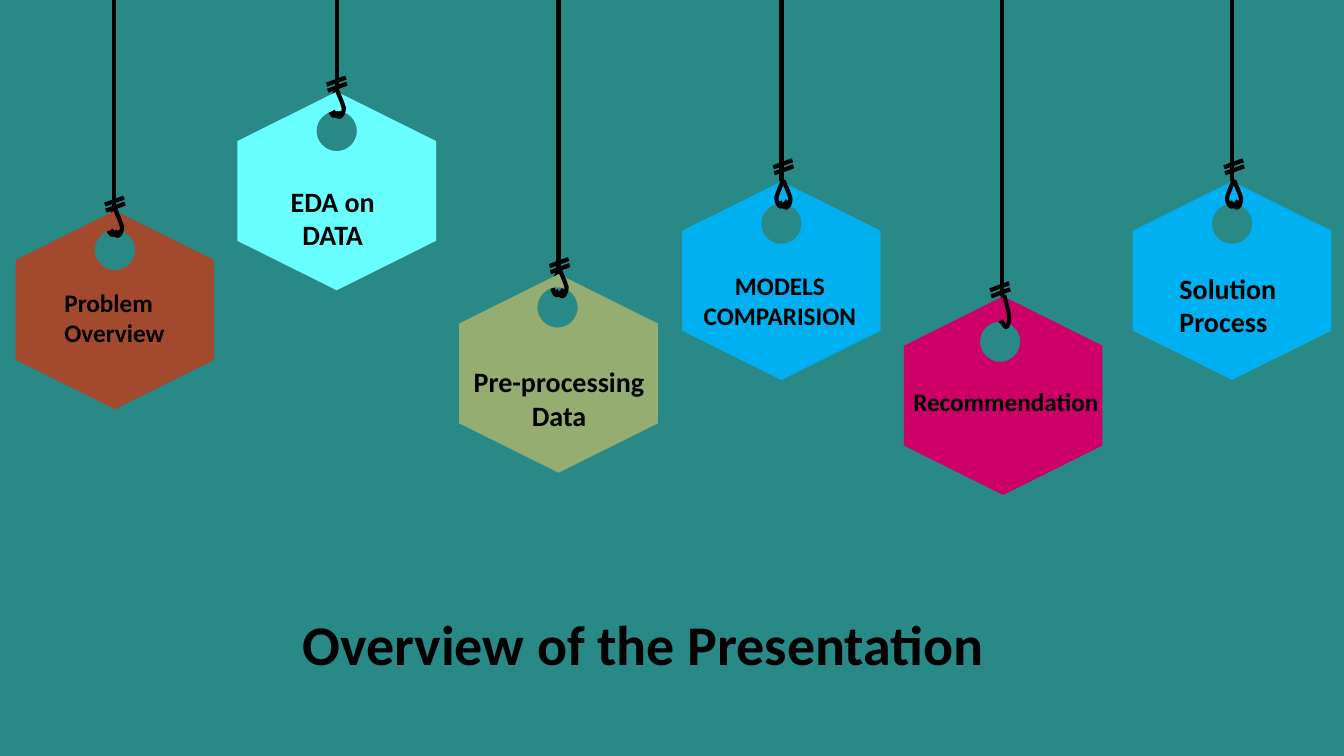
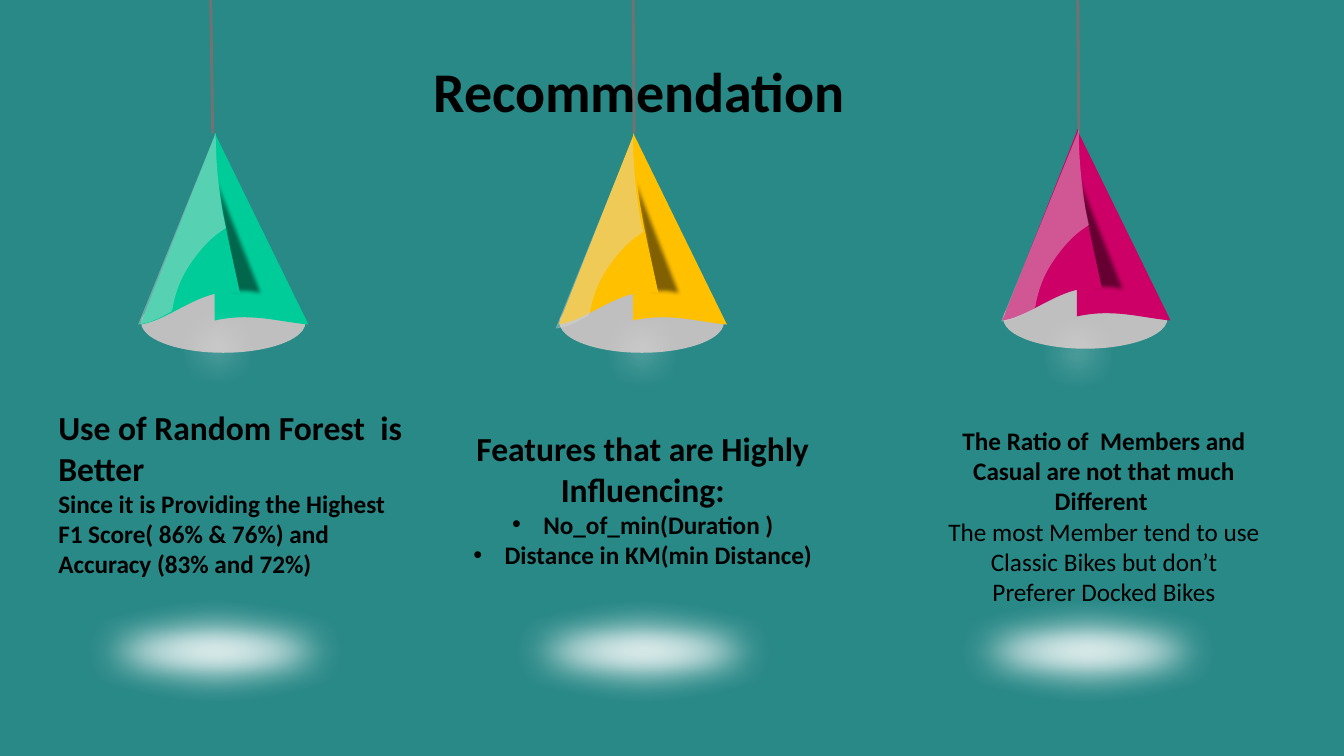
from dataclasses import dataclass

import lxml.etree
import pptx
import pptx.dml.color
import pptx.enum.shapes
import pptx.enum.text
import pptx.oxml.ns
import pptx.util

Color = pptx.dml.color.RGBColor
TEAL = Color(0x29, 0x89, 0x87)
BLACK = Color(0, 0, 0)
WHITE = Color(255, 255, 255)
CORD_GREY = Color(0x76, 0x71, 0x71)
RIM_GREY = Color(0xBF, 0xBF, 0xBF)
SHINE_GREY = Color(0xD9, 0xD9, 0xD9)
SKY = Color(0, 0xB0, 0xF0)
OLIVE = Color(0x95, 0xAD, 0x70)
MAGENTA = Color(0xCC, 0, 0x66)
AQUA = Color(0x6A, 0xFF, 0xFF)
RUST = Color(0xA3, 0x4A, 0x2E)
GREEN = Color(0, 0xCC, 0x99)
AMBER = Color(0xFF, 0xC0, 0)

FONT = "Calibri"
TITLE_SIZE = 40
LEFT = pptx.enum.text.PP_ALIGN.LEFT
CENTER = pptx.enum.text.PP_ALIGN.CENTER


@dataclass
class Tag:
    label: str
    size: int
    align: int
    box: tuple
    color: Color
    top: tuple
    hole: tuple
    rope: tuple
    loop: tuple
    knot: tuple
    loop_in_front: bool = False
    stretch: tuple = (1, 1)


@dataclass
class Lamp:
    color: Color
    top: tuple
    cord: tuple
    shine: tuple
    glow: tuple


TAGS = [
    Tag("MODELS COMPARISION", 18, CENTER, (6.88, 2.63, 1.71, 0.71), SKY,
        (7.75, 1.8), (7.75, 2.22), (7.75, 1.8), (7.77, 1.78), (7.68, 1.72), True),
    Tag("Pre-processing Data", 20, CENTER, (4.56, 3.57, 1.97, 0.77), OLIVE,
        (5.54, 2.72), (5.53, 3.05), (5.54, 2.66), (5.55, 2.66), (5.46, 2.7)),
    Tag("Recommendation", 18, LEFT, (8.96, 3.78, 2.04, 0.4), MAGENTA,
        (9.95, 2.94), (9.92, 3.39), (9.94, 2.94), (9.96, 2.92), (9.83, 2.94),
        stretch=(0.72, 1.17)),
    Tag("EDA on DATA", 20, CENTER, (2.48, 1.78, 1.64, 0.77), AQUA,
        (3.34, 0.91), (3.34, 1.3), (3.34, 0.89), (3.34, 0.88), (3.25, 0.9)),
    Tag("Problem Overview", 18, LEFT, (0.54, 2.8, 1.25, 0.71), RUST,
        (1.14, 2.09), (1.14, 2.48), (1.13, 2.07), (1.14, 2.06), (1.05, 2.09)),
    Tag("Solution Process", 20, LEFT, (11.6, 2.64, 1.47, 0.77), SKY,
        (12.22, 1.8), (12.22, 2.22), (12.22, 1.8), (12.24, 1.78), (12.15, 1.72), True),
]
LAMPS = [
    Lamp(MAGENTA, (10.68, 1.28), (10.7, 10.69), (10.7, 1.29), (10.14, 2.91)),
    Lamp(AMBER, (6.28, 1.32), (6.29, 6.28), (6.28, 1.36), (5.82, 2.89)),
    Lamp(GREEN, (2.13, 1.32), (2.11, 2.09), (2.14, 1.32), (1.61, 2.86)),
]
POOL_LEFTS = [0.36, 4.61, 9.02]
FINDINGS = [
    ((0.48, 3.99, 3.73, 1.82), LEFT, [
        ("Use of Random Forest  is Better", 24, True, False),
        ("Since it is Providing the Highest F1 Score( 86% & 76%) "
         "and Accuracy (83% and 72%)", 18, True, False)]),
    ((4.32, 4.2, 4.11, 1.82), CENTER, [
        ("Features that are Highly Influencing:", 24, True, False),
        ("No_of_min(Duration )", 18, True, True),
        ("Distance in KM(min Distance)", 18, True, True)]),
    ((9.3, 4.17, 3.3, 1.92), CENTER, [
        ("The Ratio of  Members and Casual are not that much Different ", 18, True, False),
        ("The most Member tend to use Classic Bikes but don\u2019t "
         "Preferer Docked Bikes", 18, False, False)]),
]

HALF = 1.97 / 2
HEXAGON = [(0, 0), (HALF, 0.49), (HALF, 1.48), (0, 1.97), (-HALF, 1.48), (-HALF, 0.49)]
HOLE = [(0, -0.2), (-0.11, -0.2, -0.2, -0.11, -0.2, 0), (-0.2, 0.11, -0.11, 0.2, 0, 0.2),
        (0.11, 0.2, 0.2, 0.11, 0.2, 0), (0.2, -0.11, 0.11, -0.2, 0, -0.2)]
LOOP = [(0, 0), (0.03, 0.07, 0.06, 0.14, 0.07, 0.18),
        (0.07, 0.23, 0.05, 0.26, 0.03, 0.27), (0.01, 0.27, -0.02, 0.24, -0.04, 0.21)]
SHADE_RIGHT = [(0, 1.86), (0, 1.26, 0, 0.6, 0, 0), (0.93, 1.9),
               (0.62, 1.87, 0.36, 1.78, 0, 1.86)]
SHADE_SHADOW = [(0.14, 1.62), (0.14, 1.26, -0.06, 0.5, -0.06, 0.13), (0.53, 1.65),
                (0.4, 1.63, 0.29, 1.57, 0.14, 1.62)]
SHADE_LEFT = [(0.25, 1.59), (0.13, 1.02, 0.01, 0.6, 0.01, 0), (-0.74, 1.9),
              (-0.44, 1.86, -0.11, 1.51, 0.25, 1.59)]
SHINE = [(0, 0), (0, 0.3, 0.03, 0.56, 0.07, 0.8), (0.1, 0.94), (0.06, 0.97),
         (-0.05, 1.04, -0.16, 1.16, -0.26, 1.31),
         (-0.36, 1.46, -0.41, 1.62, -0.43, 1.75), (-0.44, 1.77), (-0.53, 1.82),
         (-0.61, 1.86, -0.69, 1.89, -0.77, 1.9)]


def inches(value):
    return pptx.util.Cm(value * 2.54)


def tagged(name):
    return pptx.oxml.ns.qn("a:" + name)


def place(segments, origin, scale=(1, 1)):
    return [[(inches(origin[0] + x * scale[0]), inches(origin[1] + y * scale[1]))
             for x, y in zip(segment[::2], segment[1::2])] for segment in segments]


def add_outline(shapes, contours, close=True):
    builder = None
    for contour in contours:
        corners = [segment[-1] for segment in contour]
        if builder is None:
            builder = shapes.build_freeform(*corners[0], scale=1.0)
        else:
            builder.move_to(*corners[0])
        builder.add_line_segments(corners[1:], close=close)
    shape = builder.convert_to_shape()
    segments = [segment for contour in contours for segment in contour[1:]]
    steps = list(shape._element.spPr.iter(tagged("lnTo")))
    for step, segment in zip(steps, segments):
        if len(segment) == 3:
            curve = lxml.etree.Element(tagged("cubicBezTo"))
            for x, y in segment:
                lxml.etree.SubElement(curve, tagged("pt"), x=str(x - shape.left),
                                      y=str(y - shape.top))
            step.getparent().replace(step, curve)
    return shape


def paint(shape, color, alpha=None, soft_edge=None):
    shape.shadow.inherit = False
    shape.line.fill.background()
    shape.fill.solid()
    shape.fill.fore_color.rgb = color
    properties = shape._element.spPr
    if alpha:
        swatch = properties.find(".//" + tagged("srgbClr"))
        lxml.etree.SubElement(swatch, tagged("alpha"), val=str(alpha * 1000))
    if soft_edge:
        effects = properties.find(tagged("effectLst"))
        lxml.etree.SubElement(effects, tagged("softEdge"), rad=str(pptx.util.Pt(soft_edge)))


def add_loop(shapes, origin, scale):
    loop = add_outline(shapes, [place(LOOP, origin, scale)], close=False)
    loop.shadow.inherit = False
    loop.fill.background()
    loop.line.color.rgb = BLACK
    loop.line.width = pptx.util.Pt(3)


def add_line(shapes, start, end, color, width):
    line = shapes.add_connector(pptx.enum.shapes.MSO_CONNECTOR.STRAIGHT,
                                *[inches(value) for value in (*start, *end)])
    line.line.color.rgb = color
    line.line.width = pptx.util.Pt(width)
    lxml.etree.SubElement(line._element.spPr, tagged("effectLst"))


def add_ellipse(shapes, box, color, soft_edge=None):
    ellipse = shapes.add_shape(pptx.enum.shapes.MSO_SHAPE.OVAL, *[inches(value) for value in box])
    paint(ellipse, color, soft_edge=soft_edge)


def add_text(shapes, box, align, lines):
    text_frame = shapes.add_textbox(*[inches(value) for value in box]).text_frame
    text_frame.word_wrap = True
    text_frame.auto_size = pptx.enum.text.MSO_AUTO_SIZE.SHAPE_TO_FIT_TEXT
    text_frame.text = "\n".join(line[0] for line in lines)
    for paragraph, (_, size, bold, bullet) in zip(text_frame.paragraphs, lines):
        paragraph.alignment = align
        font = paragraph.runs[0].font
        font.name, font.size, font.bold = FONT, pptx.util.Pt(size), bold
        font.color.rgb = BLACK
        if bullet:
            properties = paragraph._p.get_or_add_pPr()
            indent = inches(0.31)
            properties.set("marL", str(indent))
            properties.set("indent", str(-indent))
            lxml.etree.SubElement(properties, tagged("buFont"), typeface="Arial")
            lxml.etree.SubElement(properties, tagged("buChar"), char="\u2022")


def add_title(slide, text, box, align):
    add_text(slide.shapes, box, align, [(text, TITLE_SIZE, True, False)])


def add_tag(slide, tag):
    shapes = slide.shapes.add_group_shape().shapes
    if not tag.loop_in_front:
        add_loop(shapes, tag.loop, (-1, 1))
    plate = add_outline(shapes, [place(HOLE, tag.hole), place(HEXAGON, tag.top)])
    paint(plate, tag.color)
    add_line(shapes, tag.rope, (tag.rope[0], 0), BLACK, 3)
    add_text(shapes, tag.box, tag.align, [(tag.label, tag.size, True, False)])
    if tag.loop_in_front:
        add_loop(shapes, tag.loop, (-1, 1))
    add_loop(shapes, (tag.loop[0], tag.loop[1] + 0.01), tag.stretch)
    x, y = tag.knot
    for left, bottom in ((x, y), (x - 0.01, y - 0.06)):
        add_line(shapes, (left, bottom), (left + 0.19, bottom - 0.07), BLACK, 3)


def add_lamp(slide, lamp):
    shapes = slide.shapes.add_group_shape().shapes
    x, y = lamp.top
    add_line(shapes, (lamp.cord[0], 1.32), (lamp.cord[1], 0), CORD_GREY, 2)
    add_ellipse(shapes, (x - 0.73, y + 1.58, 1.63, 0.6), RIM_GREY)
    for segments, color, alpha, soft_edge in (
            (SHADE_RIGHT, lamp.color, None, None),
            (SHADE_SHADOW, BLACK, 50, 3),
            (SHADE_LEFT, lamp.color, None, None)):
        paint(add_outline(shapes, [place(segments, lamp.top)]), color, alpha, soft_edge)
    add_ellipse(shapes, (*lamp.glow, 1.1, 1.17), WHITE, soft_edge=25)
    paint(add_outline(shapes, [place(SHINE, lamp.shine)]), SHINE_GREY, 40)


presentation = pptx.Presentation()
presentation.slide_width = inches(13.33)
presentation.slide_height = inches(7.5)
background = presentation.slide_master.background.fill
background.solid()
background.fore_color.rgb = TEAL
blank = presentation.slide_layouts[6]

overview = presentation.slides.add_slide(blank)
add_title(overview, "Overview of the Presentation", (1.45, 6, 9.86, 0.77), CENTER)
for tag in TAGS:
    add_tag(overview, tag)

recommendation = presentation.slides.add_slide(blank)
for left in POOL_LEFTS:
    add_ellipse(recommendation.shapes, (left, 5.9, 3.54, 1.12), WHITE, soft_edge=25)
add_title(recommendation, "Recommendation", (4.2, 0.51, 4.95, 0.77), LEFT)
for lamp in LAMPS:
    add_lamp(recommendation, lamp)
for box, align, lines in FINDINGS:
    add_text(recommendation.shapes, box, align, lines)

presentation.save("out.pptx")
